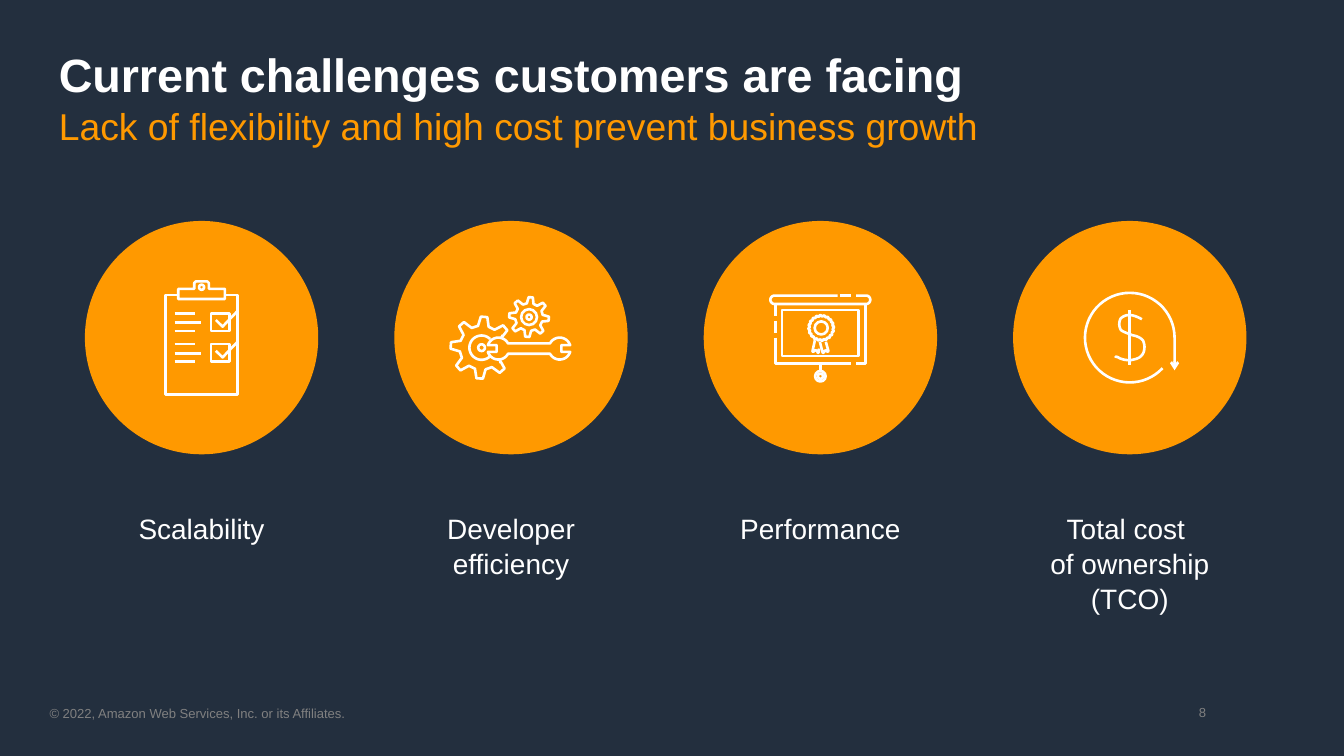
from dataclasses import dataclass
from math import cos, radians, sin

from lxml import etree
from pptx import Presentation
from pptx.dml.color import RGBColor
from pptx.enum.shapes import MSO_CONNECTOR, MSO_SHAPE
from pptx.enum.text import MSO_ANCHOR, PP_ALIGN
from pptx.oxml.ns import qn
from pptx.util import Pt

NAVY, ORANGE, WHITE, GRAY = "232F3E", "FF9900", "FFFFFF", "808080"
CIRCLE_SIZE, CIRCLE_TOP = 200, 189.4
FIRST_CENTER, COLUMN_PITCH = 172.8, 265.2
CENTER_Y = CIRCLE_TOP + CIRCLE_SIZE / 2
LABEL_TOP, LABEL_WIDTH = 437, 162.7


def color(value):
    return RGBColor.from_string(value)


def add_text(slide, box, runs, align=PP_ALIGN.LEFT, anchor=MSO_ANCHOR.TOP, spacing=1.0):
    """Add one paragraph; each run is (text, size, color, bold) on its own line."""
    frame = slide.shapes.add_textbox(*map(Pt, box)).text_frame
    margins = dict.fromkeys(("margin_left", "margin_top", "margin_right", "margin_bottom"), 0)
    for name, value in {"word_wrap": True, "vertical_anchor": anchor, **margins}.items():
        setattr(frame, name, value)
    paragraph = frame.paragraphs[0]
    paragraph.alignment, paragraph.line_spacing = align, spacing
    for index, (text, size, text_color, bold) in enumerate(runs):
        if index:
            paragraph.add_line_break()
        run = paragraph.add_run()
        run.text = text
        for name, value in {"name": "Arial", "size": Pt(size), "bold": bold}.items():
            setattr(run.font, name, value)
        run.font.color.rgb = color(text_color)


def add_circle(shapes, center_x, center_y, radius):
    box = center_x - radius, center_y - radius, 2 * radius, 2 * radius
    circle = shapes.add_shape(MSO_SHAPE.OVAL, *map(Pt, box))
    circle.shadow.inherit = False
    return circle


def white_line(shape):
    shape.line.color.rgb = color(WHITE)
    shape.line.width = Pt(2.25)


@dataclass
class Icon:
    """White line art in points, measured from the middle of its circle."""
    shapes: object
    center_x: float

    def place(self, x, y):
        return Pt(self.center_x + x), Pt(CENTER_Y + y)

    def path_through(self, points, close=False):
        start, *others = [self.place(*point) for point in points]
        builder = self.shapes.build_freeform(*start)
        builder.add_line_segments(others, close=close)
        shape = builder.convert_to_shape()
        shape.shadow.inherit = False
        shape.fill.background()
        white_line(shape)
        return shape

    def box(self, left, top, right, bottom):
        self.path_through([(left, top), (right, top), (right, bottom), (left, bottom)], True)

    def circle(self, x, y, radius):
        circle = add_circle(self.shapes, self.center_x + x, CENTER_Y + y, radius)
        circle.fill.background()
        white_line(circle)

    def line(self, x1, y1, x2, y2):
        ends = *self.place(x1, y1), *self.place(x2, y2)
        connector = self.shapes.add_connector(MSO_CONNECTOR.STRAIGHT, *ends)
        white_line(connector)
        etree.SubElement(connector._element.spPr, qn("a:effectLst"))


def polar(x, y, radius, angle):
    return x + radius * cos(radians(angle)), y + radius * sin(radians(angle))


def arc(x, y, radius, start, end):
    steps = max(8, round(abs(end - start) / 6))
    return [polar(x, y, radius, start + (end - start) * i / steps) for i in range(steps + 1)]


def bezier(*controls):
    """Points along joined cubic curves; neighbours share an end point."""
    points = [controls[0]]
    for first in range(0, len(controls) - 1, 3):
        for step in range(1, 9):
            t = step / 8
            weights = (1 - t) ** 3, 3 * t * (1 - t) ** 2, 3 * t * t * (1 - t), t ** 3
            pairs = list(zip(weights, controls[first:first + 4]))
            points.append(tuple(sum(w * p[axis] for w, p in pairs) for axis in (0, 1)))
    return points


def gear(x, y, root, tip, pitch, count, root_angle=14, tip_angle=6):
    profile = (root, root_angle), (tip, tip_angle), (tip, -tip_angle), (root, -root_angle)
    return [polar(x, y, radius, -40 - pitch * tooth + offset)
            for tooth in range(count) for radius, offset in profile]


def draw_checklist(icon):
    icon.path_through([(20, -36.7), (31, -36.7), (31, 49), (-31, 49), (-31, -36.7), (-20, -36.7)])
    half_clip = [(20, -33.1), (20, -41.8), (6.3, -41.8), (6.3, -46.8), (4.9, -48.2)]
    icon.path_through(half_clip + [(-x, y) for x, y in reversed(half_clip)], True)
    icon.circle(0, -43.2, 2.2)
    for offset in (0, 26.4):
        for end, y in ((-5.8, -20.9), (-0.7, -13), (-5.8, -5.8)):
            icon.line(-23, y + offset, end, y + offset)
        icon.box(7.9, -20.9 + offset, 23.8, -5.8 + offset)
        icon.path_through([(12.2, -15.1 + offset), (18, -9.4 + offset), (31, -23 + offset)])


def draw_gears_and_wrench(icon):
    large, small = (-25.2, 8.6), (15.5, -17.6)
    ends = polar(*large, 21, -31), polar(*large, 21, 39)
    icon.path_through([ends[0], *gear(*large, 18.9, 26.6, 45.3, 7), ends[1]])
    icon.path_through(arc(*large, 10.4, 50, 315))
    icon.circle(*large, 2.9)
    icon.path_through(gear(*small, 11.9, 17.1, 45, 8), True)
    icon.circle(*small, 6.8)
    icon.circle(*small, 2.2)
    left, right = (-10.8, 9.4, 9.4), (41.8, 9.4, 9.4)
    icon.path_through([
        *arc(*right, 208, 342), (43.2, 6.5), (43.2, 12.2), *arc(*right, 18, 152),
        *arc(*left, 28, 162), (-12.2, 12.2), (-12.2, 6.5), *arc(*left, 198, 332)], True)


def draw_presentation_screen(icon):
    icon.path_through([(30.6, 22.3), (38.5, 22.3), (38.5, -28.8), (-38.5, -28.8), (-38.5, -18.7)])
    icon.path_through([(-38.5, 0), (-38.5, 22.3), (26.3, 22.3)])
    icon.line(-38.5, -14.4, -38.5, -4.3)
    icon.path_through([(14.8, -36), *arc(-39.2, -32.4, 3.6, 270, 90),
                       *arc(39.2, -32.4, 3.6, 90, -90), (30.6, -36)])
    icon.line(16.9, -36, 26.3, -36)
    icon.line(0, 22.3, 0, 28.8)
    icon.circle(0, 33.1, 4.5)
    icon.circle(0, 33.1, 2.2)
    icon.box(-32.8, -23.8, 32.8, 15.8)
    icon.path_through(gear(0.7, -8.3, 10, 10.9, 18, 20, 6, 3), True)
    icon.circle(0.7, -8.3, 5.6)
    icon.path_through([(-0.4, 3.6), (2, 13), (2.6, 13), (4.3, 10.8), (6.3, 12.2),
                       (6.9, 11.5), (4.7, 3.6)])
    icon.path_through([(-4.7, 2.2), (-6.8, 11.8), (-6.2, 12.2), (-4.3, 10.8), (-3, 11.2),
                       (-2.2, 13), (-1.6, 13), (-1.1, 9.4)])


def draw_dollar(icon):
    icon.path_through(bezier(
        (10.4, -15.8), (7.6, -17.3), (3.2, -19.4), (-0.4, -19.4),
        (-2.5, -19.4), (-5.4, -18.7), (-7.6, -16.6), (-8.3, -15.8), (-9, -13.7), (-9, -11.5),
        (-9, -9.4), (-8.3, -7.9), (-7.6, -6.5), (-4.7, -4.3), (-1.1, -3.6), (1.8, -2.2),
        (5.4, -1.4), (8.3, -0.7), (11.2, 2.2), (11.9, 3.6), (12.6, 5.8), (12.6, 7.9),
        (12.6, 10.8), (11.9, 13.7), (9.7, 15.8), (7.6, 18), (4, 18.7), (0.4, 19.4),
        (-3.2, 19.4), (-7.6, 18.7), (-10.4, 16.6), (-11.2, 16.6), (-11.9, 16.6), (-12.6, 15.8)))
    icon.line(0, -23.8, 0, 23.8)
    ring = icon.path_through([*arc(0, 0, 38.4, 43, 360), (38.4, 28)])
    etree.SubElement(ring.line._get_or_add_ln(), qn("a:tailEnd"), type="arrow")


def add_challenge(slide, center_x, label_lines, draw_icon):
    circle = add_circle(slide.shapes, center_x, CENTER_Y, CIRCLE_SIZE / 2)
    circle.fill.solid()
    circle.fill.fore_color.rgb = color(ORANGE)
    circle.line.fill.background()
    draw_icon(Icon(slide.shapes.add_group_shape().shapes, center_x))
    box = center_x - LABEL_WIDTH / 2, LABEL_TOP, LABEL_WIDTH, 29 * len(label_lines)
    add_text(slide, box, [(line, 24, WHITE, False) for line in label_lines],
             PP_ALIGN.CENTER, spacing=1.05)


def main():
    presentation = Presentation()
    presentation.slide_width, presentation.slide_height = Pt(1152), Pt(648)
    slide = presentation.slides.add_slide(presentation.slide_layouts[6])
    slide.background.fill.solid()
    slide.background.fill.fore_color.rgb = color(NAVY)

    add_text(slide, (50.4, 36.5, 1050, 88), [
        ("Current challenges customers are facing", 40, WHITE, True),
        ("Lack of flexibility and high cost prevent business growth", 32, ORANGE, False),
    ], spacing=1.05)
    challenges = [
        (["Scalability"], draw_checklist),
        (["Developer", "efficiency"], draw_gears_and_wrench),
        (["Performance"], draw_presentation_screen),
        (["Total cost ", "of ownership", "(TCO)"], draw_dollar),
    ]
    for column, (label_lines, draw_icon) in enumerate(challenges):
        add_challenge(slide, FIRST_CENTER + column * COLUMN_PITCH, label_lines, draw_icon)
    add_text(slide, (42.5, 604.8, 560, 13.7),
             [("© 2022, Amazon Web Services, Inc. or its Affiliates.", 11.2, GRAY, False)])
    add_text(slide, (820.8, 593.3, 213.1, 34.6), [("8", 11.2, GRAY, False)],
             PP_ALIGN.RIGHT, MSO_ANCHOR.MIDDLE)
    presentation.save("out.pptx")


if __name__ == "__main__":
    main()
